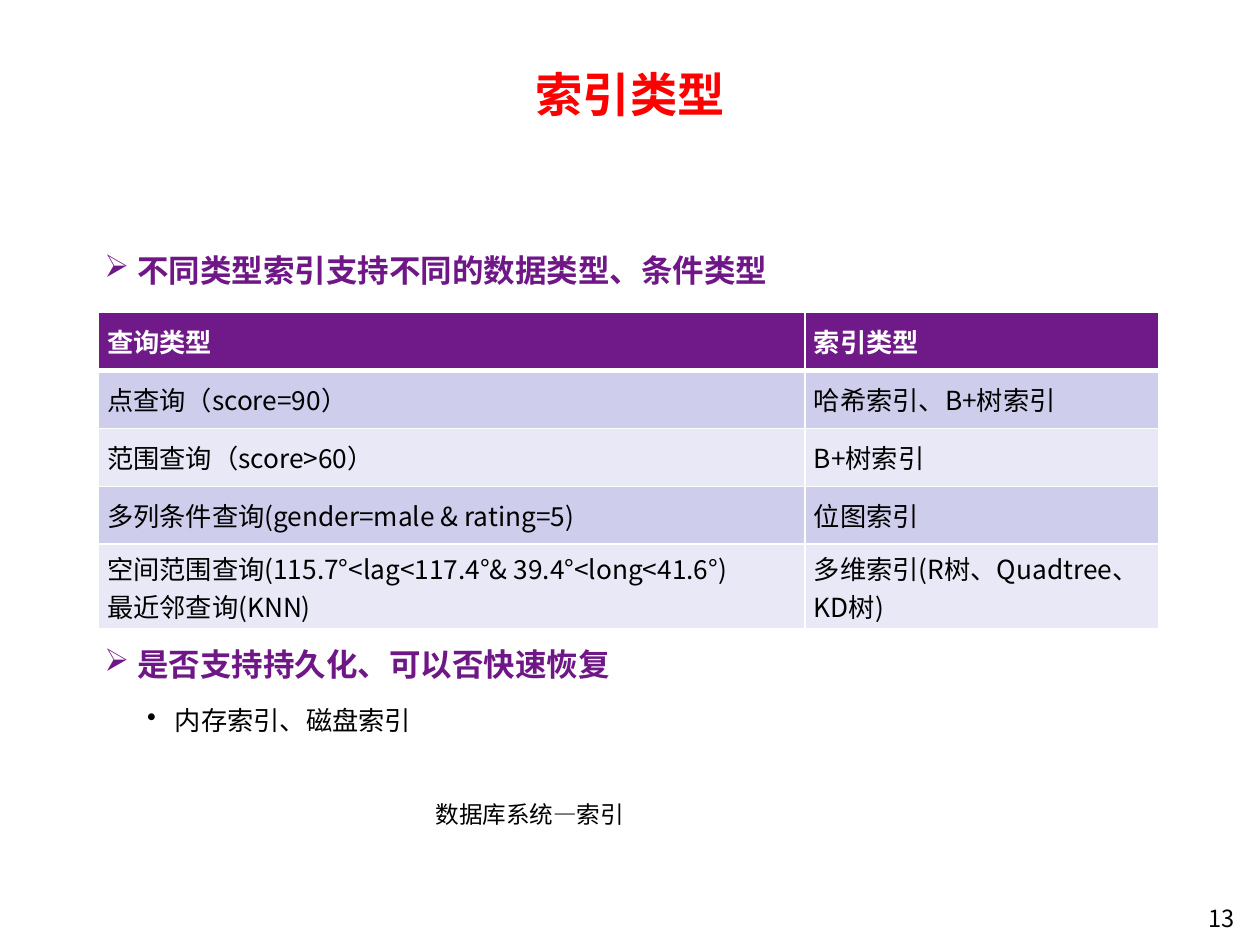
from dataclasses import dataclass

from lxml import etree
from pptx import Presentation
from pptx import util as u
from pptx.dml.color import RGBColor
from pptx.enum import text
from pptx.oxml import ns

COLUMNS, ROWS = 100, 75
WIDTH, HEIGHT = u.Inches(10), u.Inches(7.5)


@dataclass(frozen=True)
class Theme:
    font: str = "Noto Sans CJK SC"
    title: str = "FF0000"
    heading: str = "6F1787"
    header_fill: str = "701988"
    bands: tuple = ("CECEEC", "E8E8F6")
    ink: str = "000000"
    paper: str = "FFFFFF"
    title_size: float = 27
    heading_size: float = 18
    detail_size: float = 15
    footer_size: float = 13.5


THEME = Theme()

QUERIES = [
    ("查询类型", "索引类型"),
    ("点查询（score=90）", "哈希索引、B+树索引"),
    ("范围查询（score>60）", "B+树索引"),
    ("多列条件查询(gender=male & rating=5)", "位图索引"),
    ("空间范围查询(115.7°<lag<117.4°& 39.4°<long<41.6°)\n最近邻查询(KNN)",
     "多维索引(R树、Quadtree、KD树)"),
]


def across(columns):
    return int(WIDTH * columns / COLUMNS)


def down(rows):
    return int(HEIGHT * rows / ROWS)


def place(left, top, width, height):
    return across(left), down(top), across(width), down(height)


def style(paragraph, size, color, bold=False):
    for run in paragraph.runs:
        run.font.size = u.Pt(size)
        run.font.bold = bold
        run.font.name = THEME.font
        run.font.color.rgb = RGBColor.from_string(color)
        east_asian = etree.Element(ns.qn("a:ea"), typeface=THEME.font)
        run.font._element.find(ns.qn("a:latin")).addnext(east_asian)


def add_frame(slide, area, inset_top=0.0):
    frame = slide.shapes.add_textbox(*place(*area)).text_frame
    frame.word_wrap = True
    frame.margin_left = frame.margin_right = across(1)
    frame.margin_top = frame.margin_bottom = down(inset_top)
    return frame


def add_label(slide, area, words, size, color, bold=False, centred=False):
    frame = add_frame(slide, area, 0.2)
    frame.text = words
    if centred:
        frame.vertical_anchor = text.MSO_ANCHOR.MIDDLE
        frame.paragraphs[0].alignment = text.PP_ALIGN.CENTER
    style(frame.paragraphs[0], size, color, bold)


def set_bullet(paragraph, mark, indent, hanging):
    properties = paragraph._p.get_or_add_pPr()
    properties.set("marL", str(across(indent)))
    properties.set("indent", str(-across(hanging)))
    etree.SubElement(properties, ns.qn("a:buChar"), char=mark)


def add_points(slide, area, heading, details=()):
    frame = add_frame(slide, area)
    frame.text = "\n".join([heading, *details])
    first, *rest = frame.paragraphs
    set_bullet(first, "➢", 2.6, 2.6)
    style(first, THEME.heading_size, THEME.heading, bold=True)
    for detail in rest:
        set_bullet(detail, "•", 5.6, 2.2)
        detail.space_before = u.Pt(12.5)
        style(detail, THEME.detail_size, THEME.ink)


def set_borders(cell, widths):
    properties = cell._tc.get_or_add_tcPr()
    for position, (side, width) in enumerate(widths.items()):
        line = etree.Element(ns.qn(f"a:ln{side}"), w=str(u.Pt(width)))
        fill = etree.SubElement(line, ns.qn("a:solidFill"))
        etree.SubElement(fill, ns.qn("a:srgbClr"), val=THEME.paper)
        properties.insert(position, line)


def fill_cell(cell, words, row):
    header = row == 0
    cell.text = words
    cell.vertical_anchor = text.MSO_ANCHOR.MIDDLE
    cell.margin_left = cell.margin_right = across(0.7)
    cell.margin_top = cell.margin_bottom = down(0.4)
    cell.fill.solid()
    color = THEME.header_fill if header else THEME.bands[(row - 1) % 2]
    cell.fill.fore_color.rgb = RGBColor.from_string(color)
    set_borders(cell, {"L": 1, "R": 1, "T": 3 if row == 1 else 1,
                       "B": 3 if header else 1})
    for paragraph in cell.text_frame.paragraphs:
        style(paragraph, THEME.detail_size,
              THEME.paper if header else THEME.ink, header)


def add_query_table(slide, left, top, column_widths, row_heights):
    area = place(left, top, sum(column_widths), sum(row_heights))
    table = slide.shapes.add_table(len(QUERIES), len(QUERIES[0]), *area).table
    for column, width in zip(table.columns, column_widths):
        column.width = across(width)
    for row, height in zip(table.rows, row_heights):
        row.height = down(height)
    for row, entries in enumerate(QUERIES):
        for column, words in enumerate(entries):
            fill_cell(table.cell(row, column), words, row)


def main():
    deck = Presentation()
    deck.slide_width, deck.slide_height = WIDTH, HEIGHT
    slide = deck.slides.add_slide(deck.slide_layouts[6])
    add_label(slide, (8.6, 3.7, 82.8, 7.4), "索引类型", THEME.title_size,
              THEME.title, bold=True, centred=True)
    add_points(slide, (7.3, 19.95, 90.8, 4), "不同类型索引支持不同的数据类型、条件类型")
    add_query_table(slide, 7.8, 24.8, (56.1, 28.1), [4.6] * 4 + [6.7])
    add_points(slide, (7.3, 51.2, 90.8, 8), "是否支持持久化、可以否快速恢复",
               ["内存索引、磁盘索引"])
    add_label(slide, (33.6, 63.3, 31.6, 2.5), "数据库系统—索引",
              THEME.footer_size, THEME.ink)
    add_label(slide, (94.9, 71.5, 6.3, 3.2), "13", THEME.footer_size, THEME.ink)
    deck.save("out.pptx")


if __name__ == "__main__":
    main()
